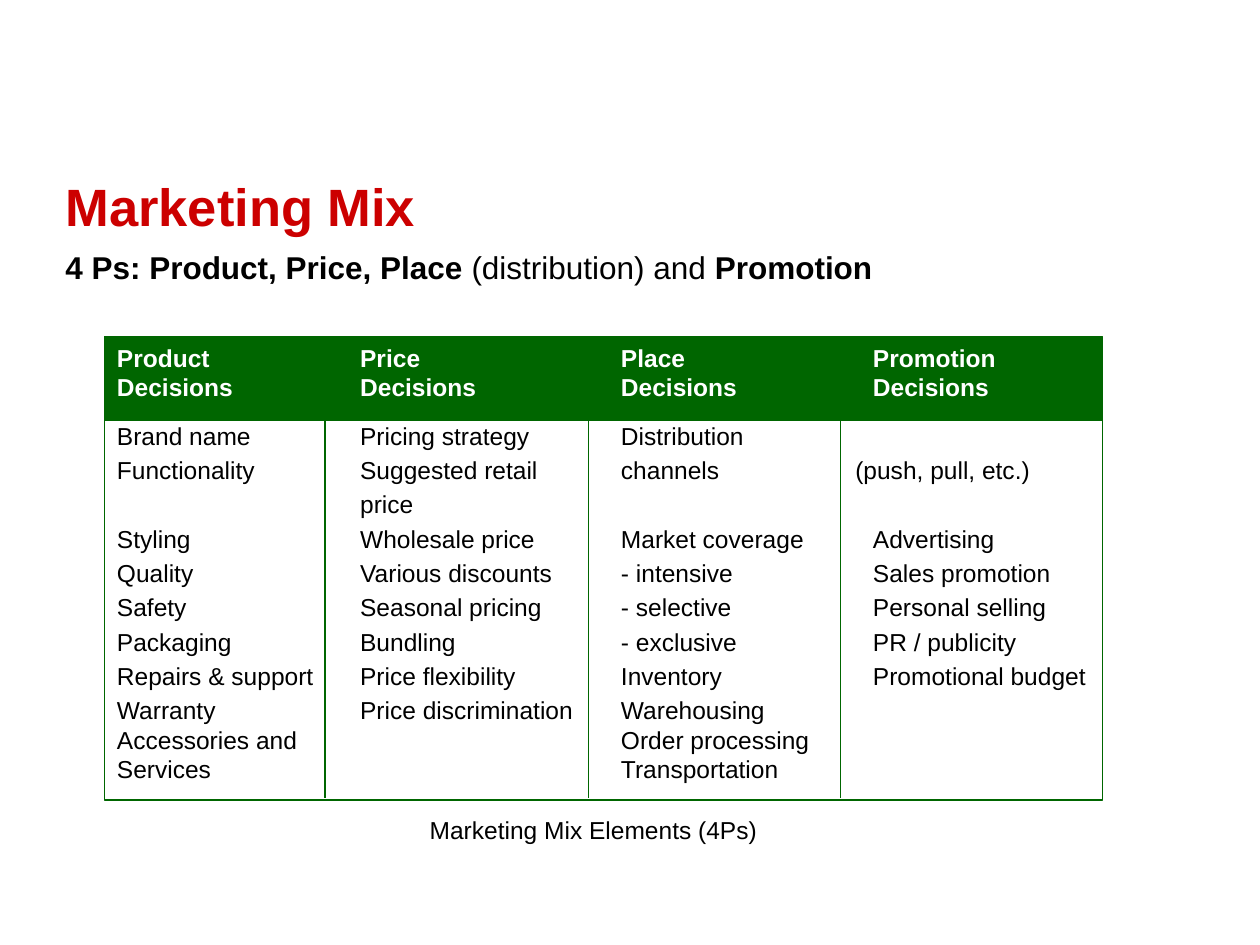
from lxml import etree
from pptx import Presentation
from pptx.dml.color import RGBColor
from pptx.enum.shapes import MSO_CONNECTOR, MSO_SHAPE
from pptx.enum.text import MSO_ANCHOR, PP_ALIGN
from pptx.oxml.ns import qn
from pptx.util import Inches, Pt

RECTANGLE = MSO_SHAPE.RECTANGLE
STRAIGHT = MSO_CONNECTOR.STRAIGHT
TOP = MSO_ANCHOR.TOP
LEFT, CENTER = PP_ALIGN.LEFT, PP_ALIGN.CENTER

GREEN, RED, BLACK, WHITE = "006600", "CC0000", "000000", "FFFFFF"
COLUMN_TABS = (1.93, 4, 6)
PUSH_PULL_TABS = (1.93, 4, 5.86)
GRID_LEFT, GRID_TOP, GRID_WIDTH = 0.83, 2.67, 7.92
HEADER_HEIGHT, GRID_HEIGHT = 0.67, 3.68

HEADINGS = "Product\tPrice\tPlace\tPromotion\nDecisions\tDecisions\tDecisions\tDecisions"
DECISIONS = [
    "Brand name\tPricing strategy\tDistribution",
    "Functionality\tSuggested retail\tchannels\t(push, pull, etc.)",
    "\tprice",
    "Styling\tWholesale price\tMarket coverage\tAdvertising",
    "Quality\tVarious discounts\t- intensive\tSales promotion",
    "Safety\tSeasonal pricing\t- selective\tPersonal selling",
    "Packaging\tBundling\t- exclusive\tPR / publicity",
    "Repairs & support\tPrice flexibility\tInventory\tPromotional budget",
    "Warranty\tPrice discrimination\tWarehousing\n"
    "Accessories and\t\tOrder processing\n"
    "Services\t\tTransportation",
]


def color(hex_value):
    """Turn a hex string into a colour."""
    return RGBColor.from_string(hex_value)


def format_run(run, size, hex_value, bold=False):
    """Set the font of one run."""
    run.font.name = "Arial"
    run.font.size = Pt(size)
    run.font.bold = bold
    run.font.color.rgb = color(hex_value)


def add_title(slide, wording):
    """Place and format the slide title."""
    title = slide.shapes.title
    title.left, title.top = Inches(0.42), Inches(1.33)
    title.width, title.height = Inches(6.42), Inches(0.6)
    title.text_frame.text = wording
    title.text_frame.vertical_anchor = TOP
    heading = title.text_frame.paragraphs[0]
    heading.alignment = LEFT
    format_run(heading.runs[0], 30, RED, True)


def add_label(slide, left, top, width, height, parts, size, alignment=LEFT):
    """Add one line of text from (wording, bold) parts."""
    label = slide.shapes.add_textbox(*map(Inches, (left, top, width, height)))
    label.text_frame.word_wrap = True
    line = label.text_frame.paragraphs[0]
    line.alignment = alignment
    for wording, bold in parts:
        run = line.add_run()
        run.text = wording
        format_run(run, size, BLACK, bold)


def add_panel(slide, height, fill=None, outline=None):
    """Add a rectangle at the top left of the grid."""
    panel = slide.shapes.add_shape(
        RECTANGLE, *map(Inches, (GRID_LEFT, GRID_TOP, GRID_WIDTH, height)))
    panel.shadow.inherit = False
    if fill:
        panel.fill.solid()
        panel.fill.fore_color.rgb = color(fill)
    else:
        panel.fill.background()
    if outline:
        panel.line.color.rgb = color(outline)
        panel.line.width = Pt(0.75)
    else:
        panel.line.fill.background()
    return panel


def fill_row(row, wording, tabs, space_before, hex_value, bold=False):
    """Write one tabbed row of the grid."""
    row.text = wording
    row.alignment = LEFT
    row.space_before = Pt(space_before)
    tab_list = etree.SubElement(row._p.get_or_add_pPr(), qn("a:tabLst"))
    for position in tabs:
        etree.SubElement(tab_list, qn("a:tab"), pos=str(Inches(position)), algn="l")
    for run in row.runs:
        format_run(run, 14, hex_value, bold)


def add_divider(slide, x):
    """Add a vertical line between two grid columns."""
    divider = slide.shapes.add_connector(
        STRAIGHT, *map(Inches, (x, GRID_TOP, x, 6.33)))
    divider.line.color.rgb = color(GREEN)
    divider.line.width = Pt(0.75)
    etree.SubElement(divider._element.spPr, qn("a:effectLst"))


def add_grid(slide):
    """Add the grid of decisions under the four headings."""
    add_panel(slide, HEADER_HEIGHT, fill=GREEN)
    frame = add_panel(slide, GRID_HEIGHT, outline=GREEN).text_frame
    frame.word_wrap = True
    frame.vertical_anchor = TOP
    fill_row(frame.paragraphs[0], HEADINGS, COLUMN_TABS, 0, WHITE, True)
    for index, wording in enumerate(DECISIONS):
        tabs = PUSH_PULL_TABS if "(push" in wording else COLUMN_TABS
        space_before = 2.8 if index else 11
        fill_row(frame.add_paragraph(), wording, tabs, space_before, BLACK)
    for x in (2.58, 4.67, 6.67):
        add_divider(slide, x)


def main():
    """Build and save the marketing mix slide."""
    deck = Presentation()
    deck.slide_width, deck.slide_height = Inches(10), Inches(7.5)
    slide = deck.slides.add_slide(deck.slide_layouts[5])
    add_title(slide, "Marketing Mix")
    four_ps = [("4 Ps: Product, Price, Place", True),
               (" (distribution) and ", False), ("Promotion", True)]
    add_label(slide, 0.42, 1.92, 8.58, 0.4, four_ps, 18)
    caption = [("Marketing Mix Elements (4Ps)", False)]
    add_label(slide, 2.25, 6.42, 4.92, 0.33, caption, 14, CENTER)
    add_grid(slide)
    deck.save("out.pptx")


if __name__ == "__main__":
    main()
